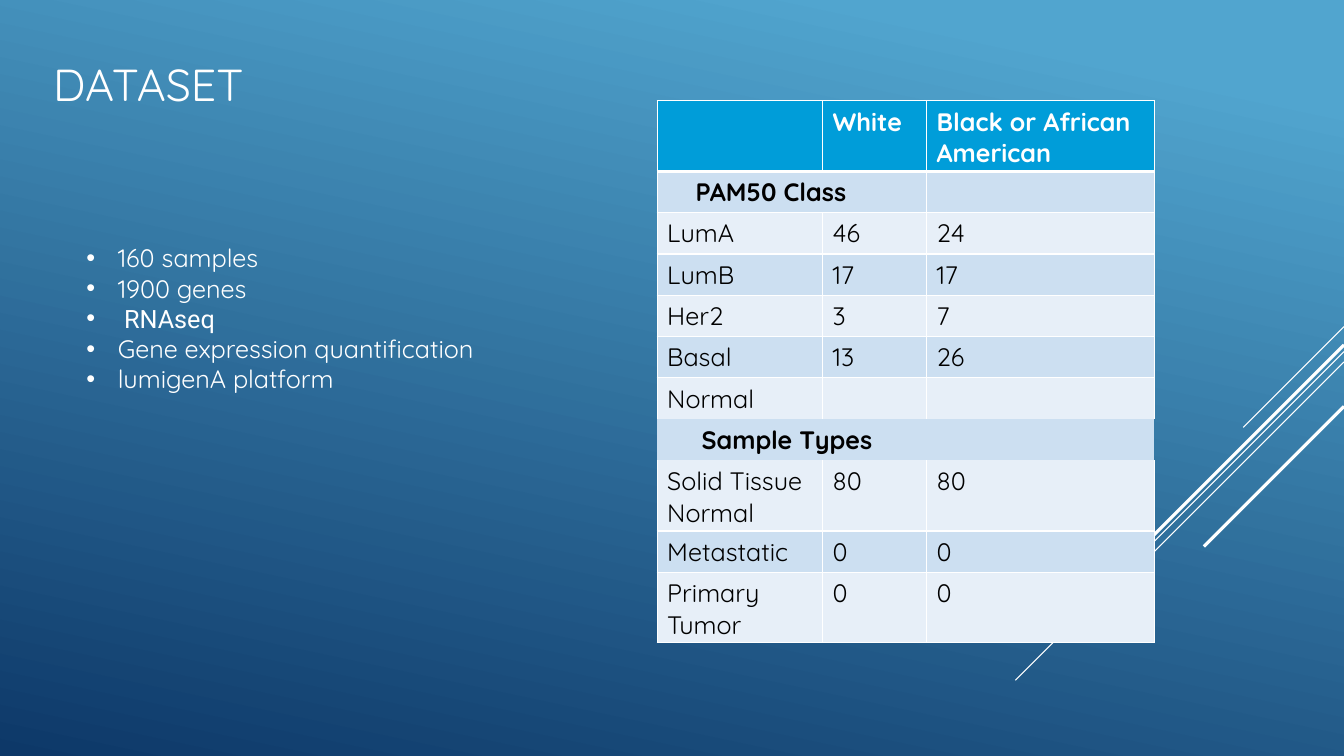
import pptx
import pptx.dml.color
import pptx.enum.shapes
import pptx.enum.text
import pptx.oxml.ns
import pptx.util
from lxml import etree

Cm = pptx.util.Cm
Pt = pptx.util.Pt
PAGE_WIDTH = 33.87
WHITE = "FFFFFF"
BLACK = "000000"
HEADER_FILL = "009DD9"
BAND_FILLS = ["E7EFF8", "CCDFF1"]
FONT = "Quicksand"

STREAKS = [
    (8.23, 2.54, 0.75),
    (8.86, 8.28, 0.75),
    (9.12, 5.27, 0.75),
    (8.69, 4.85, 2.25),
    (10.24, 3.53, 2.25),
]
COLUMN_WIDTHS = [4.17, 2.62, 5.74]
ROW_HEIGHT = 1.04
ROWS = [
    ["", "White", "Black or African American"],
    ["PAM50 Class", "", ""],
    ["LumA", "46", "24"],
    ["LumB", "17", "17"],
    ["Her2", "3", "7"],
    ["Basal", "13", "26"],
    ["Normal", "", ""],
    ["Sample Types", "", ""],
    ["Solid Tissue Normal", "80", "80"],
    ["Metastatic", "0", "0"],
    ["Primary Tumor", "0", "0"],
]
SECTION_MARGINS = {1: 0.97, 7: 1.12}
BORDERLESS_ROW = 7
FACTS = [
    "160 samples",
    "1900 genes",
    " RNAseq",
    "Gene expression quantification",
    "lumigenA platform",
]


def colour(value):
    """Turn a hex string into a colour."""
    return pptx.dml.color.RGBColor.from_string(value)


def add_xml(parent, tag, **attributes):
    """Append a drawing element and return it."""
    return etree.SubElement(parent, pptx.oxml.ns.qn(tag), attributes)


def style_para(para, size, value, bold=False, font=FONT):
    """Format every run of a paragraph."""
    for span in para.runs:
        span.font.size = Pt(size)
        span.font.name = font
        span.font.bold = bold
        span.font.color.rgb = colour(value)


def paint_background(page):
    """Fill the page with a slanted blue gradient."""
    fill = page.background.fill
    fill.gradient()
    fill.gradient_angle = 258
    for stop, position, value in zip(
        fill.gradient_stops, (0.1, 1), ("51A5CF", "0D3868")
    ):
        stop.position = position
        stop.color.rgb = colour(value)


def add_streak(page, top, reach, weight):
    """Draw a diagonal line inwards from the right edge."""
    streak = page.shapes.add_connector(
        pptx.enum.shapes.MSO_CONNECTOR.STRAIGHT,
        Cm(PAGE_WIDTH), Cm(top), Cm(PAGE_WIDTH - reach), Cm(top + reach),
    )
    streak.line.color.rgb = colour(WHITE)
    streak.line.width = Pt(weight)
    add_xml(streak._element.spPr, "a:effectLst")


def add_box(page, left, top, width, height):
    """Add a wrapping text box."""
    box = page.shapes.add_textbox(Cm(left), Cm(top), Cm(width), Cm(height))
    box.text_frame.word_wrap = True
    return box


def add_title(page, text):
    """Add the page title."""
    frame = add_box(page, 1.09, 0.41, 10.97, 3.38).text_frame
    frame.vertical_anchor = pptx.enum.text.MSO_ANCHOR.MIDDLE
    frame.text = text
    style_para(frame.paragraphs[0], 32, WHITE)


def add_bullets(page, facts):
    """Add the bulleted facts."""
    frame = add_box(page, 1.93, 5.99, 11.02, 4.88).text_frame
    frame.text = "\n".join(facts)
    for para in frame.paragraphs:
        font = "Roboto" if "RNAseq" in para.text else FONT
        style_para(para, 18, WHITE, font=font)
        properties = para._p.get_or_add_pPr()
        properties.set("marL", str(Cm(0.79)))
        properties.set("indent", str(-Cm(0.79)))
        add_xml(properties, "a:buFont", typeface="Arial")
        add_xml(properties, "a:buChar", char="•")


def set_borders(cell, weights):
    """Draw white cell borders, hiding those of zero weight."""
    properties = cell._tc.get_or_add_tcPr()
    for side in "LRTB":
        weight = weights.get(side, 1)
        line = add_xml(properties, f"a:ln{side}", w=str(Pt(weight)))
        if weight:
            add_xml(add_xml(line, "a:solidFill"), "a:srgbClr", val=WHITE)
        else:
            add_xml(line, "a:noFill")


def row_borders(row):
    """Give the border weights that differ from one point in a row."""
    if row == BORDERLESS_ROW:
        return dict.fromkeys("LRTB", 0)
    special = {
        0: {"B": 3},
        1: {"T": 3},
        BORDERLESS_ROW - 1: {"B": 0},
        BORDERLESS_ROW + 1: {"T": 0},
    }
    return special.get(row, {})


def add_counts_table(page):
    """Add the table of sample counts."""
    table = page.shapes.add_table(
        len(ROWS), len(COLUMN_WIDTHS), Cm(16.56), Cm(2.54),
        Cm(sum(COLUMN_WIDTHS)), Cm(ROW_HEIGHT * len(ROWS)),
    ).table
    for column, width in zip(table.columns, COLUMN_WIDTHS):
        column.width = Cm(width)
    for row, texts in enumerate(ROWS):
        is_header = row == 0
        for column, text in enumerate(texts):
            cell = table.cell(row, column)
            cell.text = text
            style_para(
                cell.text_frame.paragraphs[0], 18,
                WHITE if is_header else BLACK,
                is_header or row in SECTION_MARGINS,
            )
            set_borders(cell, row_borders(row))
            cell.fill.solid()
            cell.fill.fore_color.rgb = colour(
                HEADER_FILL if is_header else BAND_FILLS[row % 2]
            )
    for row, margin in SECTION_MARGINS.items():
        heading = table.cell(row, 0)
        heading.merge(table.cell(row, 1))
        heading.margin_left = Cm(margin)


def main():
    """Build the dataset page and save the deck."""
    deck = pptx.Presentation()
    deck.slide_width, deck.slide_height = Cm(PAGE_WIDTH), Cm(19.05)
    page = deck.slides.add_slide(deck.slide_layouts[6])
    paint_background(page)
    for streak in STREAKS:
        add_streak(page, *streak)
    add_title(page, "DATASET")
    add_counts_table(page)
    add_bullets(page, FACTS)
    deck.save("out.pptx")


if __name__ == "__main__":
    main()
